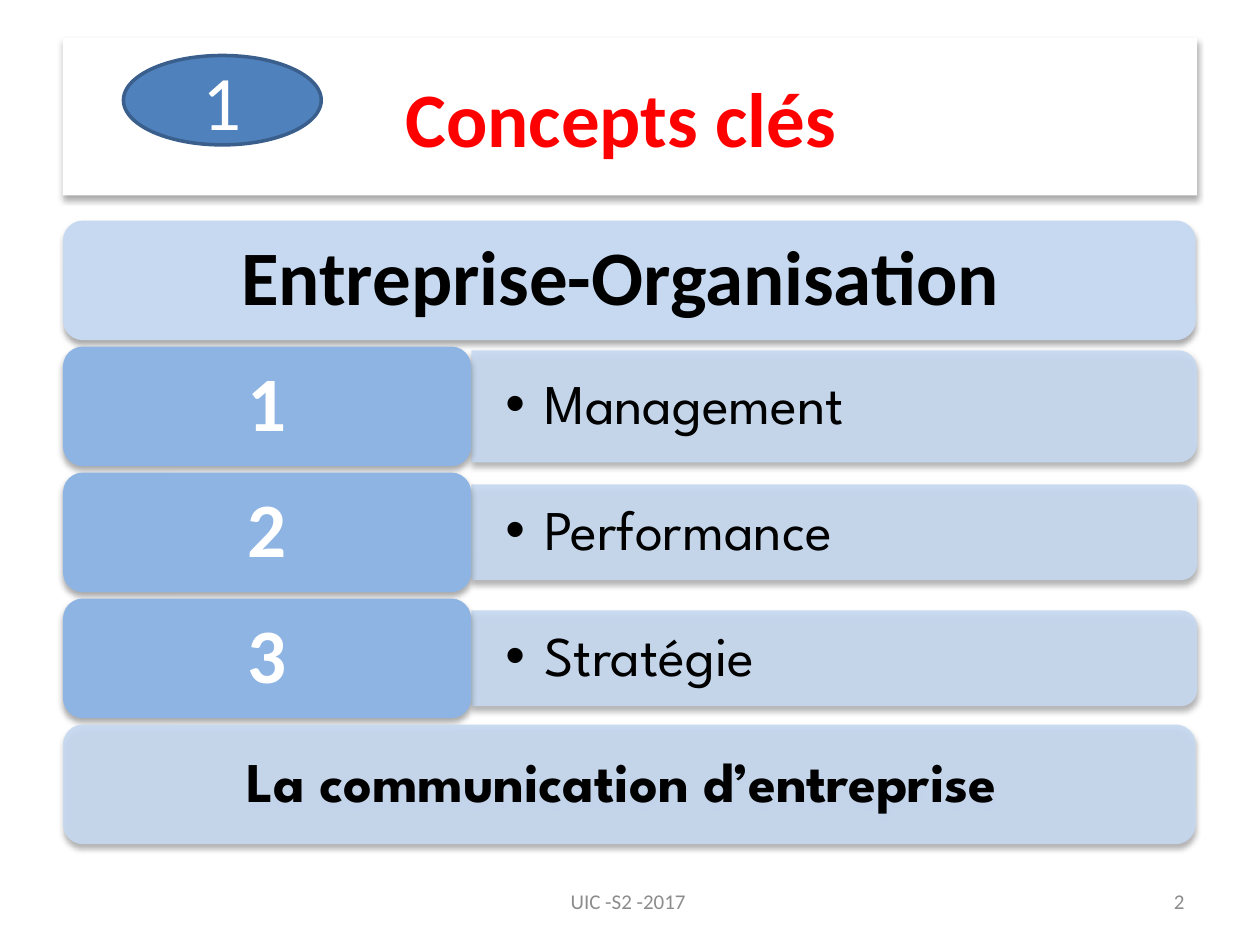
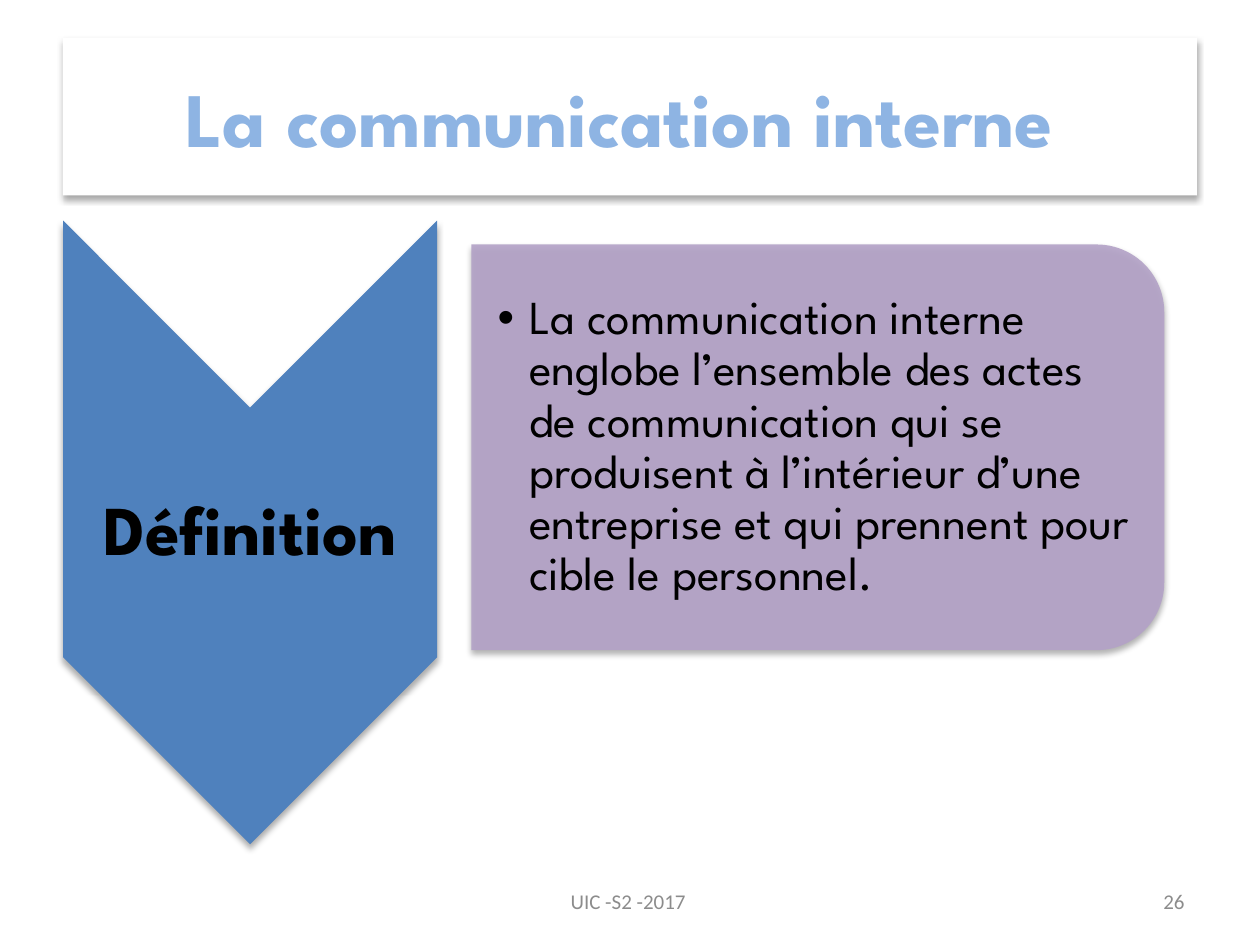
from lxml import etree
from pptx import Presentation
from pptx.dml.color import RGBColor
from pptx.enum.shapes import MSO_SHAPE
from pptx.enum.text import MSO_ANCHOR, PP_ALIGN
from pptx.oxml.ns import qn
from pptx.util import Inches, Pt

# Shape kinds and alignments
RECTANGLE = MSO_SHAPE.RECTANGLE
ROUNDED = MSO_SHAPE.ROUNDED_RECTANGLE
ROUNDED_TOP = MSO_SHAPE.ROUND_2_SAME_RECTANGLE
CHEVRON = MSO_SHAPE.CHEVRON
OVAL = MSO_SHAPE.OVAL
MIDDLE = MSO_ANCHOR.MIDDLE
LEFT, CENTER, RIGHT = PP_ALIGN.LEFT, PP_ALIGN.CENTER, PP_ALIGN.RIGHT

# Colours
WHITE = RGBColor(0xFF, 0xFF, 0xFF)
BLACK = RGBColor(0x00, 0x00, 0x00)
RED = RGBColor(0xFF, 0x00, 0x00)
GREY = RGBColor(0x8C, 0x8C, 0x8C)
PALE_BLUE = RGBColor(0xC6, 0xD9, 0xF1)
SOFT_BLUE = RGBColor(0x8E, 0xB4, 0xE3)
BLUE = RGBColor(0x4F, 0x81, 0xBD)
DARK_BLUE = RGBColor(0x3A, 0x5F, 0x8C)
PURPLE = RGBColor(0xB3, 0xA2, 0xC7)

# Fonts and shared measures, in inches
BODY_FONT, DISPLAY_FONT = "Calibri", "League Spartan"
DEFAULT_INSETS = (0.1, 0.05, 0.1, 0.05)
MARGIN = 0.5
BAND_TOP, BAND_STEP, BAND_HEIGHT = 1.75, 1, 0.95
BAND_WIDTH, NUMBER_WIDTH = 8.99, 3.24
FOOTER = "UIC -S2 -2017 "


def set_alpha(shape, percent):
    color = shape._element.spPr.find(qn("a:solidFill"))[0]
    etree.SubElement(color, qn("a:alpha"), val=str(percent * 1000))


def add_shadow(shape):
    effects = shape._element.spPr.find(qn("a:effectLst"))
    shadow = etree.SubElement(effects, qn("a:outerShdw"), blurRad=str(Pt(3.5)),
                              dist=str(Pt(2.2)), dir="5400000", rotWithShape="0")
    color = etree.SubElement(shadow, qn("a:srgbClr"), val=str(BLACK))
    etree.SubElement(color, qn("a:alpha"), val="32000")


def add_bullet(paragraph, indent):
    properties = paragraph._p.get_or_add_pPr()
    properties.set("marL", str(Inches(indent)))
    properties.set("indent", str(-Inches(indent)))
    etree.SubElement(properties, qn("a:buFont"), typeface="Arial")
    etree.SubElement(properties, qn("a:buChar"), char="•")


def write(shape, text, size, color, font=BODY_FONT, bold=False, align=CENTER,
          insets=DEFAULT_INSETS, spacing=1.0, indent=0):
    frame = shape.text_frame
    frame.word_wrap = True
    frame.vertical_anchor = MIDDLE
    (frame.margin_left, frame.margin_top,
     frame.margin_right, frame.margin_bottom) = map(Inches, insets)
    paragraph = frame.paragraphs[0]
    paragraph.text = text
    paragraph.alignment = align
    paragraph.line_spacing = spacing
    if indent:
        add_bullet(paragraph, indent)
    paragraph.font.name = font
    paragraph.font.size = Pt(size)
    paragraph.font.bold = bold
    paragraph.font.color.rgb = color


def add_box(page, kind, left, top, width, height, fill, alpha=100,
            shadow=True):
    shape = page.shapes.add_shape(kind, Inches(left), Inches(top),
                                  Inches(width), Inches(height))
    shape.fill.solid()
    shape.fill.fore_color.rgb = fill
    shape.line.fill.background()
    shape.shadow.inherit = False
    if alpha < 100:
        set_alpha(shape, alpha)
    if shadow:
        add_shadow(shape)
    return shape


def add_turned_box(page, kind, left, top, width, height, fill, alpha=100):
    """Fill the given area with a shape turned a quarter to the right."""
    shift = (width - height) / 2
    shape = add_box(page, kind, left + shift, top - shift, height, width,
                    fill, alpha)
    shape.rotation = 90
    return shape


def add_label(page, left, top, width, height, text, size, color, **style):
    box = page.shapes.add_textbox(Inches(left), Inches(top),
                                  Inches(width), Inches(height))
    write(box, text, size, color, **style)


def add_band(page, row, width, fill, text, size, color, alpha=100, **style):
    band = add_box(page, ROUNDED, MARGIN, BAND_TOP + row * BAND_STEP, width,
                   BAND_HEIGHT, fill, alpha)
    write(band, text, size, color, bold=True, spacing=0.9, **style)


def add_concept(page, row, bar_height, text):
    """Numbered band with a bulleted bar on its right."""
    left = MARGIN + NUMBER_WIDTH
    top = BAND_TOP + row * BAND_STEP + (BAND_HEIGHT - bar_height) / 2
    add_turned_box(page, ROUNDED_TOP, left, top, 5.76, bar_height,
                   PALE_BLUE, 90)
    add_label(page, left, top, 5.72, bar_height, text, 32, BLACK,
              font=DISPLAY_FONT, align=LEFT, spacing=0.9, indent=0.31,
              insets=(0.27, 0.14, 0.27, 0.14))
    add_band(page, row, NUMBER_WIDTH, SOFT_BLUE, str(row), 44, WHITE)


def add_page(deck, title, title_color, title_font, number):
    """Blank page with title panel, footer and page number."""
    page = deck.slides.add_slide(deck.slide_layouts[6])
    panel = add_box(page, RECTANGLE, MARGIN, 0.3, 9, 1.25, WHITE)
    write(panel, title, 44, title_color, font=title_font, bold=True)
    add_label(page, 7.17, 6.95, 2.33, 0.4, str(number), 12, GREY, align=RIGHT)
    add_label(page, 3.42, 6.95, 3.17, 0.4, FOOTER, 12, GREY)
    return page


def build_concepts(deck):
    page = add_page(deck, "Concepts clés ", RED, BODY_FONT, 2)

    # Bands and numbered concepts
    add_band(page, 0, BAND_WIDTH, PALE_BLUE, "Entreprise-Organisation ", 44,
             BLACK)
    concepts = [(0.89, "Management"), (0.76, "Performance"),
                (0.76, "Stratégie")]
    for row, (bar_height, text) in enumerate(concepts, start=1):
        add_concept(page, row, bar_height, text)
    add_band(page, 4, BAND_WIDTH, PALE_BLUE, "La communication d’entreprise ",
             32, BLACK, alpha=90, font=DISPLAY_FONT)

    # Chapter badge
    badge = add_box(page, OVAL, 0.98, 0.44, 1.57, 0.71, BLUE, shadow=False)
    badge.line.color.rgb = DARK_BLUE
    badge.line.width = Pt(2)
    write(badge, "1", 44, WHITE)


def build_definition(deck):
    page = add_page(deck, "La communication interne ", SOFT_BLUE,
                    DISPLAY_FONT, 26)

    # Downward chevron
    add_turned_box(page, CHEVRON, MARGIN, BAND_TOP, 2.97, 4.95, BLUE)
    add_label(page, MARGIN, 3.24, 2.97, 1.98, "Définition", 40, BLACK,
              font=DISPLAY_FONT, bold=True, spacing=0.9, insets=(0.03,) * 4)

    # Definition panel
    add_turned_box(page, ROUNDED_TOP, 3.74, 1.94, 5.5, 3.22, PURPLE, 90)
    add_label(page, 3.74, 2.1, 5.34, 2.9,
              "La communication interne englobe l’ensemble des actes de "
              "communication qui se produisent à l’intérieur d’une entreprise "
              "et qui prennent pour cible le personnel.",
              27, BLACK, font=DISPLAY_FONT, align=LEFT, spacing=0.9,
              indent=0.25, insets=(0.21, 0.02, 0.02, 0.02))


def main():
    deck = Presentation()
    deck.slide_width = Inches(10)
    deck.slide_height = Inches(7.5)
    build_concepts(deck)
    build_definition(deck)
    deck.save("out.pptx")


if __name__ == "__main__":
    main()
